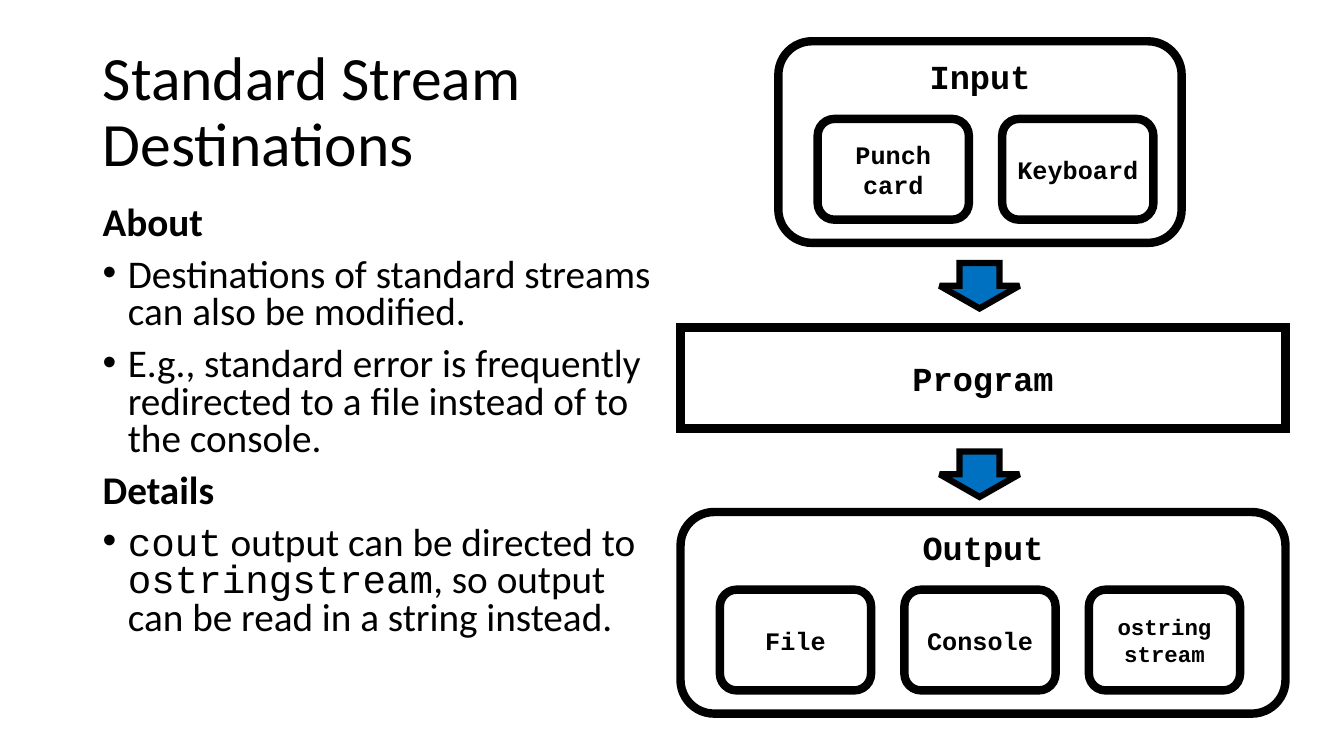
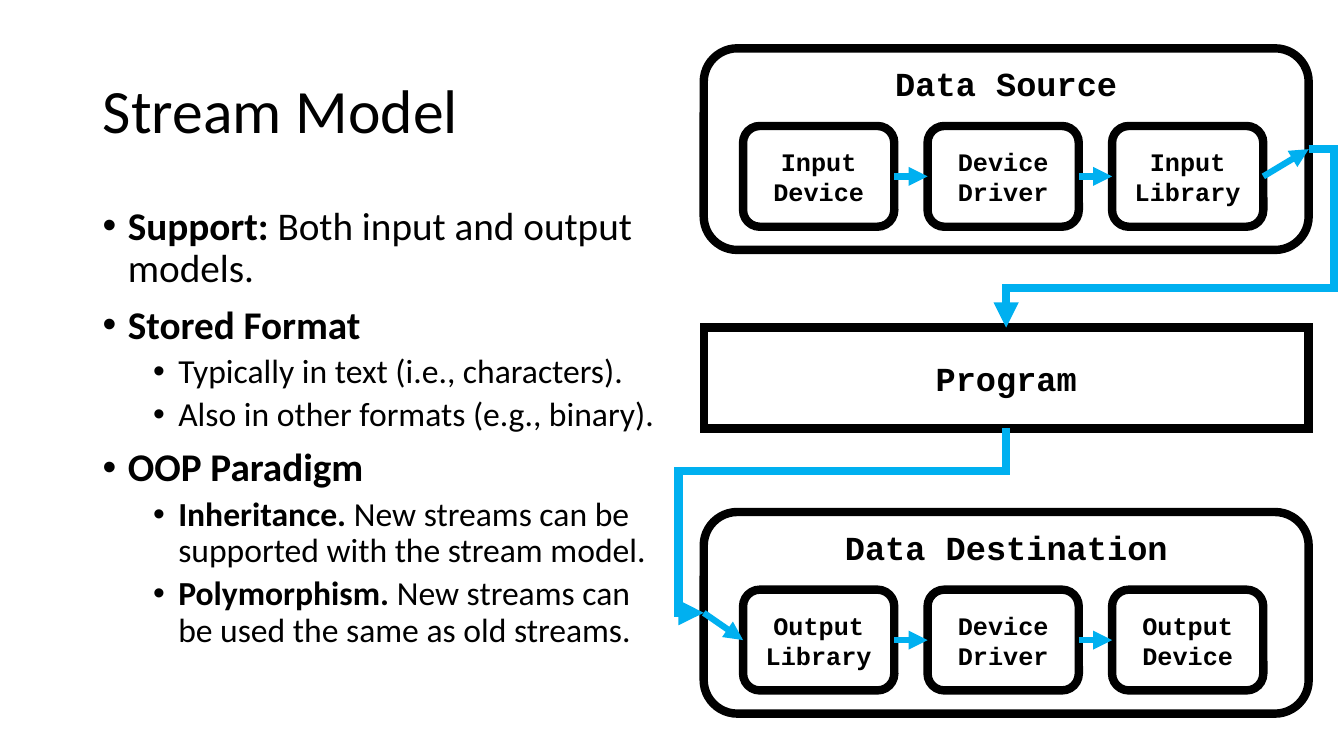
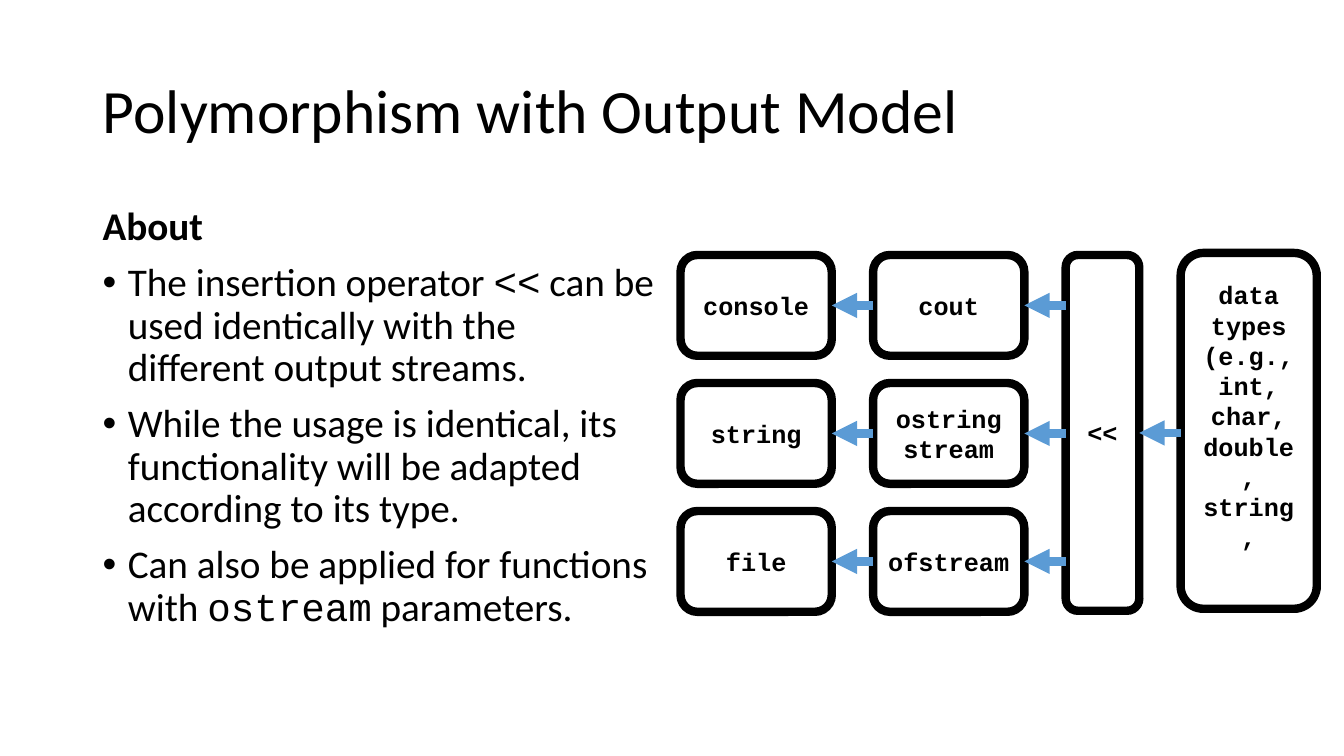
from pptx import Presentation
from pptx.dml.color import RGBColor
from pptx.enum.shapes import MSO_CONNECTOR, MSO_SHAPE
from pptx.enum.text import MSO_ANCHOR, MSO_AUTO_SIZE, PP_ALIGN
from pptx.oxml.ns import qn
from pptx.util import Inches, Pt
from lxml import etree

RECT, ROUNDED, DOWN = MSO_SHAPE.RECTANGLE, MSO_SHAPE.ROUNDED_RECTANGLE, MSO_SHAPE.DOWN_ARROW
STRAIGHT, ELBOW = MSO_CONNECTOR.STRAIGHT, MSO_CONNECTOR.ELBOW
TOP, MIDDLE = MSO_ANCHOR.TOP, MSO_ANCHOR.MIDDLE
LEFT, CENTER = PP_ALIGN.LEFT, PP_ALIGN.CENTER
NO_FIT = MSO_AUTO_SIZE.NONE

BLACK = RGBColor(0x00, 0x00, 0x00)
WHITE = RGBColor(0xFF, 0xFF, 0xFF)
ARROW_BLUE = RGBColor(0x00, 0x70, 0xC0)
FLOW_BLUE = RGBColor(0x00, 0xB0, 0xF0)
STREAM_BLUE = RGBColor(0x5B, 0x9B, 0xD5)
SANS, MONO = "Calibri", "Courier New"

# Shared grid, in inches
MARGIN, COLUMN = 0.92, 5.67
CELL_W, CELL_H = 1.5, 1
CELL_STEP = 1.83            # between the cells of a group
CELL_DX, CELL_DY = 0.39, 0.77
GROUP_W, GROUP_H = 6, 2
PROGRAM_TOP, OUTPUT_TOP = 3.25, 5.08

# Kinds of body paragraph: bullet indent (None for a heading), size, space before
HEADING, BULLET, SUB = (None, 28, 10), (0.25, 28, 10), (0.75, 24, 5)


# ---- text ----
def add_span(para, text, size=18, font=SANS, bold=False, color=BLACK):
    span = para.add_run()
    span.text = text
    span.font.size, span.font.name, span.font.bold = Pt(size), font, bold
    span.font.color.rgb = color


def add_bullet(para, indent):
    props = para._p.get_or_add_pPr()
    props.set("marL", str(Inches(indent)))
    props.set("indent", str(Inches(-0.25)))
    etree.SubElement(props, qn("a:buFont")).set("typeface", "Arial")
    etree.SubElement(props, qn("a:buChar")).set("char", "•")


def next_para(frame, index):
    return frame.paragraphs[0] if index == 0 else frame.add_paragraph()


def add_title(page, text, width):
    title = page.shapes.title
    title.left, title.top = Inches(MARGIN), Inches(0.4)
    title.width, title.height = Inches(width), Inches(1.45)
    frame = title.text_frame
    frame.auto_size, frame.vertical_anchor = NO_FIT, MIDDLE
    para = frame.paragraphs[0]
    para.alignment, para.line_spacing = LEFT, 0.9
    add_span(para, text, size=44)


def add_body(page, rows, spacing):
    """Each row is a kind followed by spans; ** marks bold and ` marks code."""
    box = page.shapes.add_textbox(Inches(MARGIN), Inches(2), Inches(COLUMN), Inches(4.76))
    frame = box.text_frame
    frame.word_wrap = True
    for index, ((indent, size, before), *spans) in enumerate(rows):
        para = next_para(frame, index)
        if indent:
            add_bullet(para, indent)
        para.line_spacing = spacing
        para.space_before = Pt(before if index else 0)
        for text in spans:
            code, bold = text.startswith("`"), text.startswith("**")
            add_span(para, text.lstrip("`*"), size=size, font=MONO if code else SANS, bold=bold)


# ---- diagram parts ----
def style_line(line, color, width):
    line.color.rgb, line.width = color, Pt(width)
    etree.SubElement(line._get_or_add_ln(), qn("a:miter")).set("lim", "800000")


def add_box(page, kind, left, top, width, height, text="", size=18, anchor=MIDDLE,
            fill=WHITE, line_width=6):
    box = page.shapes.add_shape(kind, Inches(left), Inches(top), Inches(width), Inches(height))
    box.shadow.inherit = False
    box.fill.solid()
    box.fill.fore_color.rgb = fill
    style_line(box.line, BLACK, line_width)
    frame = box.text_frame
    frame.word_wrap, frame.vertical_anchor = True, anchor
    if text:
        for index, line in enumerate(text.split("\n")):
            para = next_para(frame, index)
            para.alignment = CENTER
            add_span(para, line, size=size, font=MONO, bold=True)
    return box


def add_cell(page, left, top, text, size=18):
    return add_box(page, ROUNDED, left, top, CELL_W, CELL_H, text, size)


def add_group(page, left, top, width, title, labels, sizes=(18, 18, 18)):
    """A titled frame with a row of cells; returns the frame and its cells."""
    group = add_box(page, ROUNDED, left, top, width, GROUP_H, title, 24, TOP)
    cells = [add_cell(page, left + CELL_DX + column * CELL_STEP, top + CELL_DY, text, size)
             for column, (text, size) in enumerate(zip(labels, sizes))]
    return group, cells


def add_program(page, left):
    add_box(page, RECT, left, PROGRAM_TOP, GROUP_W, 1, "Program", 24)


def finish_connector(line, color, width):
    style_line(line.line, color, width)
    etree.SubElement(line.line._get_or_add_ln(), qn("a:tailEnd")).set("type", "triangle")
    etree.SubElement(line._element.spPr, qn("a:effectLst"))


def join(page, start, start_side, end, end_side, color, width):
    line = page.shapes.add_connector(STRAIGHT, 0, 0, 0, 0)
    line.begin_connect(start, start_side)
    line.end_connect(end, end_side)
    finish_connector(line, color, width)


def add_bent(page, start, end, bends, turned=False):
    """A four-part elbow; a turned one leaves its start downwards."""
    (x1, y1), (x2, y2) = start, end
    if turned:
        mid_x, mid_y = (x1 + x2) / 2, (y1 + y2) / 2
        half_w, half_h = abs(y2 - y1) / 2, abs(x2 - x1) / 2
        x1, y1, x2, y2 = mid_x - half_w, mid_y - half_h, mid_x + half_w, mid_y + half_h
    line = page.shapes.add_connector(ELBOW, Inches(x1), Inches(y1), Inches(x2), Inches(y2))
    props = line._element.spPr
    if turned:
        props.find(qn("a:xfrm")).set("rot", "5400000")
    shape = props.find(qn("a:prstGeom"))
    shape.set("prst", "bentConnector4")
    for old in shape.findall(qn("a:avLst")):
        shape.remove(old)
    values = etree.SubElement(shape, qn("a:avLst"))
    for number, bend in enumerate(bends, 1):
        guide = etree.SubElement(values, qn("a:gd"))
        guide.set("name", f"adj{number}")
        guide.set("fmla", f"val {round(bend * 100000)}")
    finish_connector(line, FLOW_BLUE, 6)


# ---- slides ----
def add_page(deck, title, rows, spacing=0.9, title_width=COLUMN):
    page = deck.slides.add_slide(deck.slide_layouts[5])
    add_title(page, title, title_width)
    add_body(page, rows, spacing)
    return page


def draw_destinations(page, left):
    add_group(page, left + 0.97, 0.41, 4, "Input", ["Punch\ncard", "Keyboard"])
    add_program(page, left)
    add_group(page, left, OUTPUT_TOP, GROUP_W, "Output",
              ["File", "Console", "ostring\nstream"], (18, 18, 16))
    for top in (2.61, 4.48):
        add_box(page, DOWN, left + 2.57, top, 0.79, 0.45, fill=ARROW_BLUE, line_width=4.5)


def draw_stream_model(page, left):
    source_top = 0.48
    source, inputs = add_group(page, left, source_top, GROUP_W, "Data Source",
                               ["Input\nDevice", "Device\nDriver", "Input\nLibrary"])
    add_program(page, left)
    target, outputs = add_group(page, left, OUTPUT_TOP, GROUP_W, "Data Destination",
                                ["Output\nLibrary", "Device\nDriver", "Output\nDevice"])
    # Arrows inside the groups
    for cells in (inputs, outputs):
        for start, end in zip(cells, cells[1:]):
            join(page, start, 3, end, 1, FLOW_BLUE, 4.5)
    join(page, inputs[-1], 3, source, 3, FLOW_BLUE, 4.5)
    join(page, target, 1, outputs[0], 1, FLOW_BLUE, 4.5)
    # Elbows to and from the program
    center, overshoot = left + GROUP_W / 2, 0.25 / 3
    add_bent(page, (left + GROUP_W, source_top + 1), (center, PROGRAM_TOP), (-overshoot, 0.78))
    add_bent(page, (center, PROGRAM_TOP + 1), (left, OUTPUT_TOP + 1),
             (0.23, 1 + overshoot), turned=True)


def draw_polymorphism(page, left, top):
    column_step, row_step, height = 1.91, 1.27, 3.53
    rows = [("console", "cout"), ("string", "ostring\nstream"), ("file", "ofstream")]
    operator_left = left + 2 * column_step
    add_box(page, ROUNDED, operator_left, top, 0.73, height, "<<")
    types = add_box(page, ROUNDED, left + 4.96, top - 0.02, 1.35, height,
                    "data\ntypes\n(e.g.,\nint,\nchar,\ndouble,\nstring,")
    types.text_frame.margin_bottom = Inches(0.35)
    gap = column_step - CELL_W
    for row, labels in enumerate(rows):
        y = top + row * row_step
        target, stream = [add_cell(page, left + column * column_step, y, text)
                          for column, text in enumerate(labels)]
        join(page, stream, 1, target, 3, STREAM_BLUE, 6)
        add_arrow_left(page, operator_left, y + CELL_H / 2, gap)
    add_arrow_left(page, left + 4.96, top + height / 2, gap)


def add_arrow_left(page, right, y, length):
    line = page.shapes.add_connector(STRAIGHT, Inches(right), Inches(y),
                                     Inches(right - length), Inches(y))
    finish_connector(line, STREAM_BLUE, 6)


def main():
    deck = Presentation()
    deck.slide_width, deck.slide_height = Inches(13.33), Inches(7.5)

    page = add_page(deck, "Standard Stream Destinations", [
        (HEADING, "**About"),
        (BULLET, "Destinations of standard streams can also be modified."),
        (BULLET, "E.g., standard error is frequently redirected to a file instead of "
                 "to the console."),
        (HEADING, "**Details"),
        (BULLET, "`cout", " output can be directed to ", "`ostringstream",
         ", so output can be read in a string instead."),
    ], spacing=0.8)
    draw_destinations(page, 6.75)

    page = add_page(deck, "Stream Model", [
        (BULLET, "**Support:", " Both input and output models."),
        (BULLET, "**Stored Format"),
        (SUB, "Typically in text (i.e., characters)."),
        (SUB, "Also in other formats (e.g., binary)."),
        (BULLET, "**OOP Paradigm"),
        (SUB, "**Inheritance.", " New streams can be supported with the stream model."),
        (SUB, "**Polymorphism.", " New streams can be used the same as old streams."),
    ])
    draw_stream_model(page, 6.98)

    page = add_page(deck, "Polymorphism with Output Model", [
        (HEADING, "**About"),
        (BULLET, "The insertion operator ", "`<<",
         " can be used identically with the different output streams."),
        (BULLET, "While the usage is identical, its functionality will be adapted "
                 "according to its type."),
        (BULLET, "Can also be applied for functions with ", "`ostream", " parameters."),
    ], title_width=11.5)
    draw_polymorphism(page, 6.75, 2.53)

    deck.save("out.pptx")


if __name__ == "__main__":
    main()
